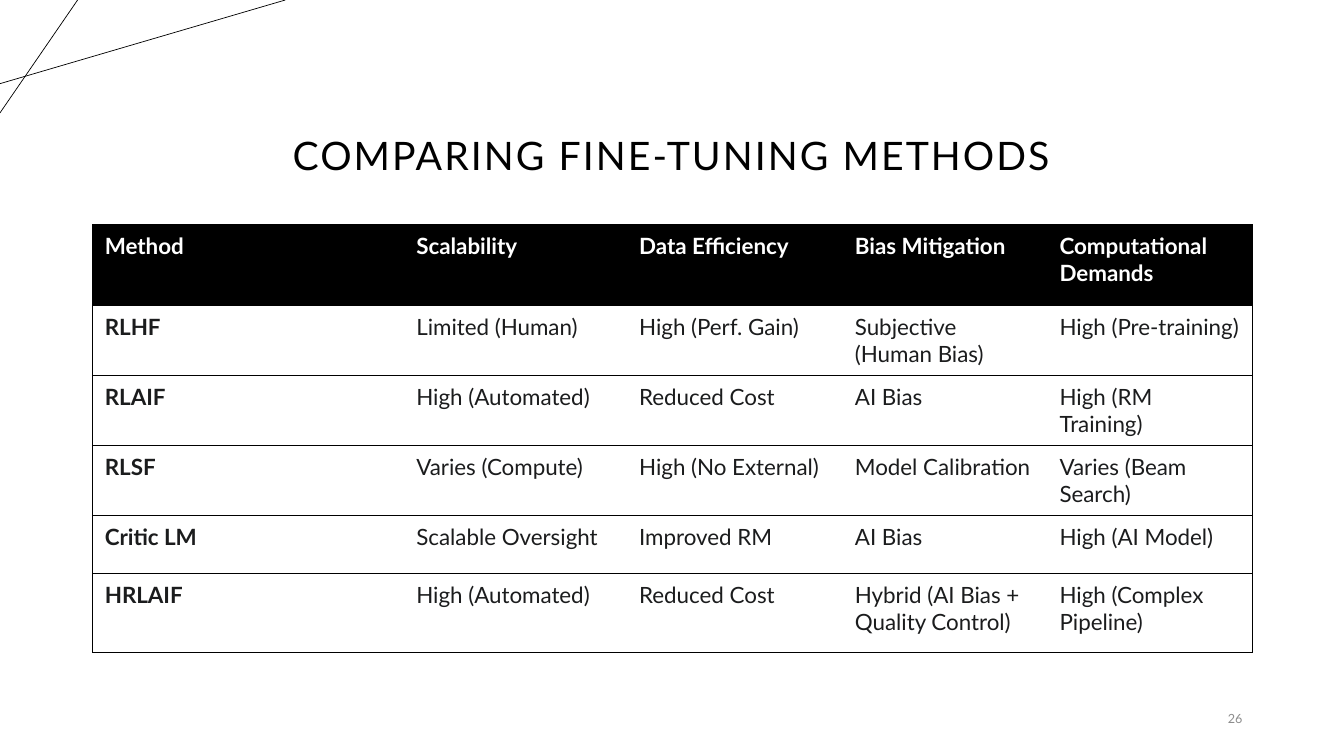
import pptx
import pptx.dml.color
import pptx.enum.shapes
import pptx.enum.text
import pptx.oxml
import pptx.oxml.ns
import pptx.util
from pptx.util import Inches

COLORS = {"black": "000000", "white": "FFFFFF", "body": "1B1C1D", "number": "8C8C8C"}
FONT = "Lato"
LINE_WIDTH = pptx.util.Pt(0.5)
ALIGN = pptx.enum.text.PP_ALIGN
ANCHOR = pptx.enum.text.MSO_ANCHOR

COLUMN_WIDTHS = [3.09, 2.21, 2.14, 2.03, 2.03]
ROW_HEIGHTS = [0.8, 0.58, 0.58, 0.58, 0.58, 0.78]
METHODS = [
    ["Method", "Scalability", "Data Efficiency", "Bias Mitigation", "Computational Demands"],
    ["RLHF", "Limited (Human)", "High (Perf. Gain)", "Subjective (Human Bias)", "High (Pre-training)"],
    ["RLAIF", "High (Automated)", "Reduced Cost", "AI Bias", "High (RM Training)"],
    ["RLSF", "Varies (Compute)", "High (No External)", "Model Calibration", "Varies (Beam Search)"],
    ["Critic LM", "Scalable Oversight", "Improved RM", "AI Bias", "High (AI Model)"],
    ["HRLAIF", "High (Automated)", "Reduced Cost", "Hybrid (AI Bias + Quality Control)",
     "High (Complex Pipeline)"],
]


def color(name):
    return pptx.dml.color.RGBColor.from_string(COLORS[name])


def style(para, size, color_name, bold=False):
    para.font.name = FONT
    para.font.size = pptx.util.Pt(size)
    para.font.color.rgb = color(color_name)
    para.font.bold = bold


def add_text(page, box, text, size, color_name, align, anchor):
    frame = page.shapes.add_textbox(*map(Inches, box)).text_frame
    frame.word_wrap = True
    frame.vertical_anchor = anchor
    para = frame.paragraphs[0]
    para.text = text
    para.alignment = align
    style(para, size, color_name)
    return para


def add_corner_lines(page, left, top, width, height):
    """Two thin lines crossing in the corner of the page."""
    ends = [(0, 0.83, width, 0), (0.77, 0, 0, height)]
    for x1, y1, x2, y2 in ends:
        line = page.shapes.add_connector(
            pptx.enum.shapes.MSO_CONNECTOR.STRAIGHT,
            Inches(left + x1), Inches(top + y1), Inches(left + x2), Inches(top + y2))
        line.line.color.rgb = color("black")
        line.line.width = LINE_WIDTH
        line._element.spPr.append(pptx.oxml.parse_xml(
            f'<a:effectLst {pptx.oxml.ns.nsdecls("a")}/>'))


def add_title(page, *box):
    para = add_text(page, box, "COMPARING FINE-TUNING METHODS", 28, "black",
                    ALIGN.CENTER, ANCHOR.BOTTOM)
    para.line_spacing = 0.9
    para.runs[0]._r.get_or_add_rPr().set("spc", "150")


def set_borders(cell, visible_sides):
    properties = cell._tc.get_or_add_tcPr()
    for index, side in enumerate("LRTB"):
        paint = "<a:noFill/>"
        if side in visible_sides:
            paint = f'<a:solidFill><a:srgbClr val="{COLORS["black"]}"/></a:solidFill>'
        properties.insert(index, pptx.oxml.parse_xml(
            f'<a:ln{side} {pptx.oxml.ns.nsdecls("a")} w="{LINE_WIDTH}">{paint}</a:ln{side}>'))


def add_methods_table(page, *box):
    table = page.shapes.add_table(
        len(METHODS), len(COLUMN_WIDTHS), *map(Inches, box)).table
    table.first_row = table.horz_banding = False
    for column, width in zip(table.columns, COLUMN_WIDTHS):
        column.width = Inches(width)
    for row, height in zip(table.rows, ROW_HEIGHTS):
        row.height = Inches(height)

    last_column = len(COLUMN_WIDTHS) - 1
    for r, texts in enumerate(METHODS):
        for c, text in enumerate(texts):
            cell = table.cell(r, c)
            header = r == 0
            cell.margin_left = cell.margin_right = Inches(0.12)
            cell.margin_top = cell.margin_bottom = Inches(0.08)
            if header:
                cell.fill.solid()
                cell.fill.fore_color.rgb = color("black")
            else:
                cell.fill.background()
            # Rules run across every row; only the outer sides are closed
            set_borders(cell, "TB" + "L" * (c == 0) + "R" * (c == last_column))
            para = cell.text_frame.paragraphs[0]
            para.text = text
            if header:
                para.space_after = pptx.util.Pt(6)
            style(para, 16, "white" if header else "body", bold=header or c == 0)


def add_page_number(page, *box):
    add_text(page, box, "26", 9, "number", ALIGN.RIGHT, ANCHOR.MIDDLE)


def main():
    deck = pptx.Presentation()
    deck.slide_width, deck.slide_height = Inches(13.33), Inches(7.5)
    page = deck.slides.add_slide(deck.slide_layouts[6])
    add_corner_lines(page, 0, 0, 2.83, 1.12)
    add_title(page, 0.91, 0.37, 11.5, 1.45)
    add_methods_table(page, 0.92, 2.23, sum(COLUMN_WIDTHS), sum(ROW_HEIGHTS))
    add_page_number(page, 11.34, 6.93, 1.08, 0.4)
    deck.save("out.pptx")


if __name__ == "__main__":
    main()
